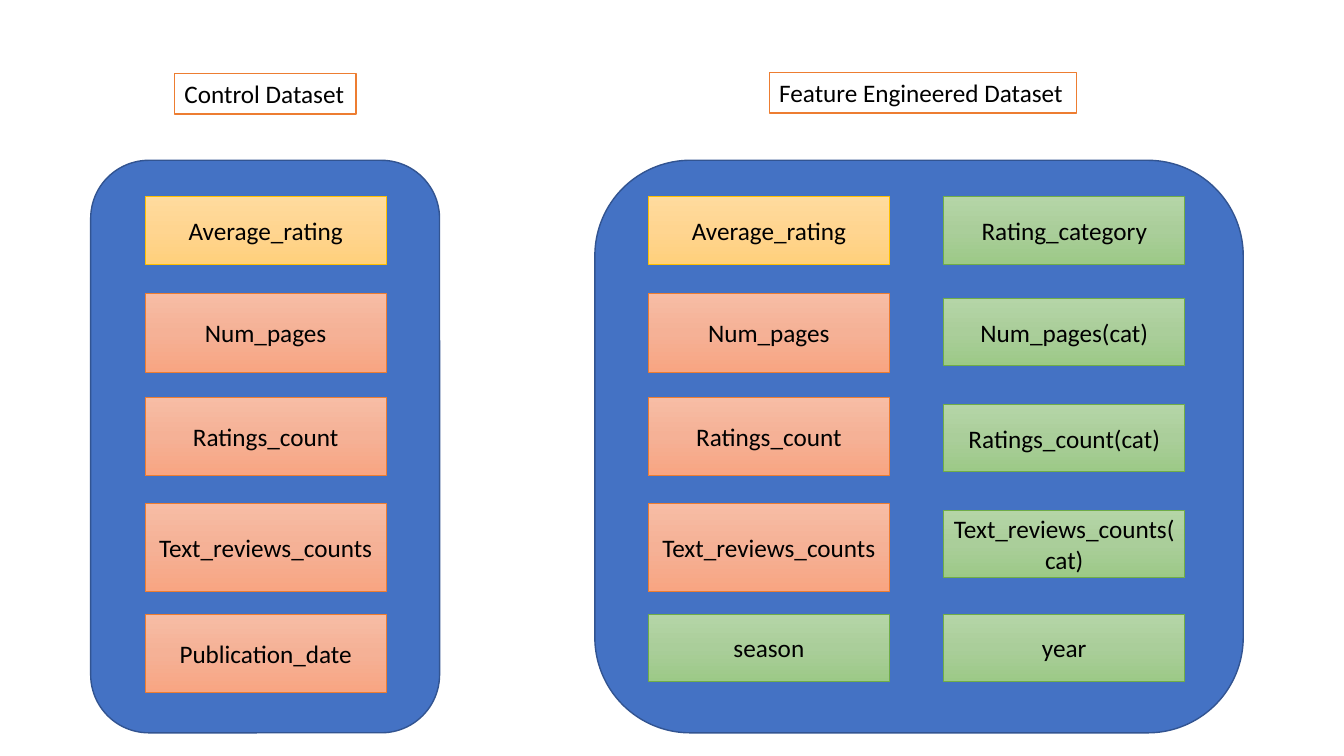
from copy import deepcopy

from pptx import Presentation
from pptx.dml.color import RGBColor
from pptx.enum.shapes import MSO_SHAPE
from pptx.enum.text import MSO_ANCHOR, MSO_AUTO_SIZE, PP_ALIGN
from pptx.oxml.ns import qn
from pptx.util import Inches, Pt

RECTANGLE, ROUNDED = MSO_SHAPE.RECTANGLE, MSO_SHAPE.ROUNDED_RECTANGLE
LEFT, CENTER = PP_ALIGN.LEFT, PP_ALIGN.CENTER
TOP, MIDDLE = MSO_ANCHOR.TOP, MSO_ANCHOR.MIDDLE
FIT_SHAPE = MSO_AUTO_SIZE.SHAPE_TO_FIT_TEXT

BLACK = RGBColor(0x00, 0x00, 0x00)
WHITE = RGBColor(0xFF, 0xFF, 0xFF)
BLUE = RGBColor(0x44, 0x72, 0xC4)
NAVY = RGBColor(0x32, 0x54, 0x91)
GOLD = RGBColor(0xFF, 0xC0, 0x00)
ORANGE = RGBColor(0xED, 0x7D, 0x31)
GREEN = RGBColor(0x70, 0xAD, 0x47)

# Gradient from top to bottom for each outline colour
SHADES = {
    GOLD: (RGBColor(0xFF, 0xDB, 0x9E), RGBColor(0xFF, 0xD5, 0x90), RGBColor(0xFF, 0xD0, 0x7C)),
    ORANGE: (RGBColor(0xF7, 0xBD, 0xA5), RGBColor(0xF5, 0xB1, 0x96), RGBColor(0xF8, 0xA5, 0x82)),
    GREEN: (RGBColor(0xB5, 0xD5, 0xA7), RGBColor(0xAA, 0xCE, 0x9A), RGBColor(0x9C, 0xC9, 0x87)),
}

# Lengths are percentages of the slide's width or height
PANEL_TOP, PANEL_HEIGHT = 21.2, 75.73
FEATURE_WIDTH = 17.93
CONTROL_COLUMN, ENGINEERED_COLUMN, CATEGORY_COLUMN = 10.8, 48.24, 70.22
SLIM = 8.93
NUMERIC_ROWS = [(26, SLIM), (38.8, 10.4), (52.53, 10.4), (66.53, 11.73), (81.2, 10.4)]
CATEGORY_ROWS = [(top, SLIM) for top in (26, 39.47, 53.47, 67.47, 81.2)]

SHARED_FEATURES = [("Average_rating", GOLD), ("Num_pages", ORANGE),
                   ("Ratings_count", ORANGE), ("Text_reviews_counts", ORANGE)]
CATEGORIES = ["Rating_category", "Num_pages(cat)", "Ratings_count(cat)",
              "Text_reviews_counts(cat)", "year"]


class DatasetSlide:
    """Holds the text style and the slide being drawn."""

    font, size = "Calibri", Pt(18)

    def __init__(self, deck):
        """Add a blank slide to the deck."""
        self.width, self.height = deck.slide_width, deck.slide_height
        self.shapes = deck.slides.add_slide(deck.slide_layouts[6]).shapes

    def box(self, shapes, kind, left, top, width, height, outline, weight):
        """Add an outlined preset shape, placed in percent."""
        box = shapes.add_shape(kind, round(left * self.width / 100), round(top * self.height / 100),
                               round(width * self.width / 100), round(height * self.height / 100))
        box.shadow.inherit = False
        box.line.color.rgb = outline
        box.line.width = Pt(weight)
        return box

    def label(self, box, text, align, anchor):
        """Set the text of a box in the slide's style."""
        box.text_frame.text = text
        box.text_frame.vertical_anchor = anchor
        paragraph = box.text_frame.paragraphs[0]
        paragraph.alignment = align
        font = paragraph.runs[0].font
        font.name, font.size, font.color.rgb = self.font, self.size, BLACK

    def panel(self, shapes, left, width):
        """Add the rounded background of a dataset."""
        panel = self.box(shapes, ROUNDED, left, PANEL_TOP, width, PANEL_HEIGHT, NAVY, 1)
        panel.fill.solid()
        panel.fill.fore_color.rgb = BLUE

    def heading(self, text, left, top, width):
        """Add the framed name of a dataset."""
        heading = self.box(self.shapes, RECTANGLE, left, top, width, 5.33, ORANGE, 1)
        heading.fill.solid()
        heading.fill.fore_color.rgb = WHITE
        self.label(heading, text, LEFT, TOP)
        heading.text_frame.word_wrap = False
        heading.text_frame.auto_size = FIT_SHAPE

    def feature(self, shapes, text, color, left, row):
        """Add one shaded feature box in a row of a column."""
        top, height = row
        feature = self.box(shapes, RECTANGLE, left, top, FEATURE_WIDTH, height, color, 0.5)
        self.shade(feature, SHADES[color])
        self.label(feature, text, CENTER, MIDDLE)

    def shade(self, box, colors):
        """Fill a box with an even three-stop gradient running down."""
        box.fill.gradient()
        box.fill.gradient_angle = 270
        first_stop = next(box.element.iter(qn("a:gs")))
        first_stop.addnext(deepcopy(first_stop))
        for stop, color, position in zip(box.fill.gradient_stops, colors, (0, 0.5, 1)):
            stop.color.rgb = color
            stop.position = position

    def column(self, shapes, features, left, rows):
        """Add a column of feature boxes."""
        for (text, color), row in zip(features, rows):
            self.feature(shapes, text, color, left, row)


def main():
    """Build and save the comparison of the two datasets."""
    deck = Presentation()
    deck.slide_width, deck.slide_height = Inches(13.33), Inches(7.5)
    slide = DatasetSlide(deck)

    control = slide.shapes.add_group_shape().shapes
    slide.panel(control, 6.75, 25.96)
    slide.column(control, SHARED_FEATURES + [("Publication_date", ORANGE)],
                 CONTROL_COLUMN, NUMERIC_ROWS)

    slide.heading("Control Dataset", 12.98, 9.73, 13.5)
    slide.heading("Feature Engineered Dataset", 57.24, 9.6, 22.88)

    slide.panel(slide.shapes, 44.26, 48.24)
    slide.column(slide.shapes, SHARED_FEATURES, ENGINEERED_COLUMN, NUMERIC_ROWS)
    slide.column(slide.shapes, [(text, GREEN) for text in CATEGORIES],
                 CATEGORY_COLUMN, CATEGORY_ROWS)
    slide.feature(slide.shapes, "season", GREEN, ENGINEERED_COLUMN, CATEGORY_ROWS[-1])

    deck.save("out.pptx")


main()
